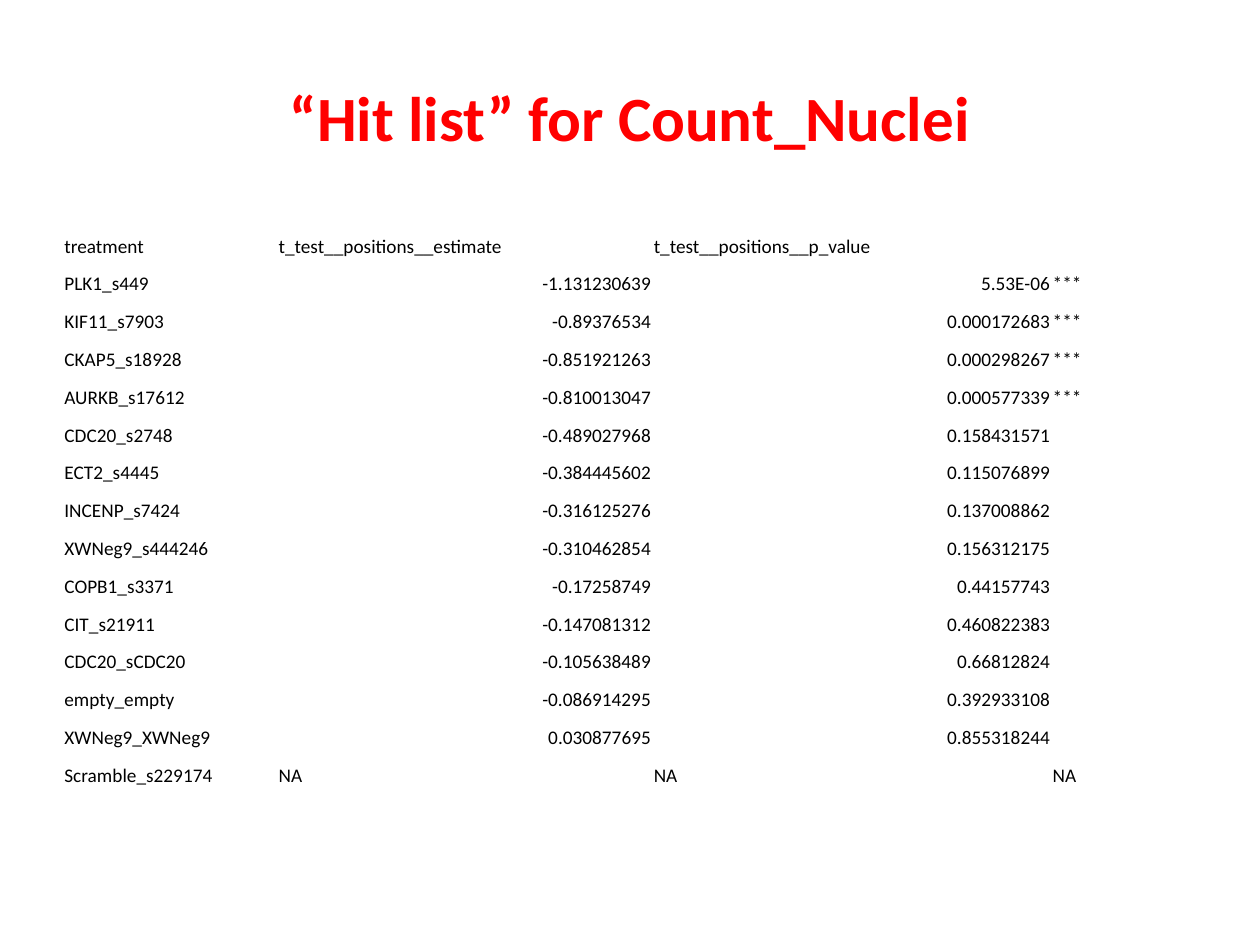
from pptx import Presentation
from pptx.dml.color import RGBColor
from pptx.enum import text
from pptx.util import Pt

RED = RGBColor(0xFF, 0, 0)
BLACK = RGBColor(0, 0, 0)
FONT = "Calibri"

# Content
TITLE = "“Hit list” for Count_Nuclei"
ROWS = [
    ("treatment", "t_test__positions__estimate", "t_test__positions__p_value", ""),
    ("PLK1_s449", "-1.131230639", "5.53E-06", "***"),
    ("KIF11_s7903", "-0.89376534", "0.000172683", "***"),
    ("CKAP5_s18928", "-0.851921263", "0.000298267", "***"),
    ("AURKB_s17612", "-0.810013047", "0.000577339", "***"),
    ("CDC20_s2748", "-0.489027968", "0.158431571", ""),
    ("ECT2_s4445", "-0.384445602", "0.115076899", ""),
    ("INCENP_s7424", "-0.316125276", "0.137008862", ""),
    ("XWNeg9_s444246", "-0.310462854", "0.156312175", ""),
    ("COPB1_s3371", "-0.17258749", "0.44157743", ""),
    ("CIT_s21911", "-0.147081312", "0.460822383", ""),
    ("CDC20_sCDC20", "-0.105638489", "0.66812824", ""),
    ("empty_empty", "-0.086914295", "0.392933108", ""),
    ("XWNeg9_XWNeg9", "0.030877695", "0.855318244", ""),
    ("Scramble_s229174", "NA", "NA", "NA"),
]
WIDTHS = (122.4, 214.4, 228, 53.2)
ROW_H = 21.6
LEFT = 36


def style(para, size, color, align, bold=False):
    para.alignment = align
    font = para.font
    font.name, font.size, font.bold = FONT, Pt(size), bold
    font.color.rgb = color


def is_number(word):
    return word[:1] in "-0123456789" and word != ""


prs = Presentation()
prs.slide_width, prs.slide_height = Pt(720), Pt(540)
slide = prs.slides.add_slide(prs.slide_layouts[5])

# Title
title = slide.shapes.title
title.left, title.top, title.width, title.height = Pt(LEFT), Pt(21.6), Pt(648), Pt(90)
title.text_frame.text = TITLE
title.text_frame.vertical_anchor = text.MSO_ANCHOR.MIDDLE
style(title.text_frame.paragraphs[0], 36, RED, text.PP_ALIGN.CENTER, True)

# Hit table: numbers in the estimate and p-value columns align right
table = slide.shapes.add_table(
    len(ROWS), len(WIDTHS), Pt(LEFT), Pt(126),
    Pt(sum(WIDTHS)), Pt(ROW_H * len(ROWS))).table
table.first_row = table.horz_banding = False
for col, width in zip(table.columns, WIDTHS):
    col.width = Pt(width)
for row, words in zip(table.rows, ROWS):
    row.height = Pt(ROW_H)
    for cell, word in zip(row.cells, words):
        cell.fill.background()
        cell.margin_left = cell.margin_right = cell.margin_top = Pt(0.8)
        cell.margin_bottom = 0
        cell.vertical_anchor = text.MSO_ANCHOR.BOTTOM
        cell.text = word
        align = text.PP_ALIGN.RIGHT if is_number(word) else text.PP_ALIGN.LEFT
        style(cell.text_frame.paragraphs[0], 11, BLACK, align)

prs.save("out.pptx")
